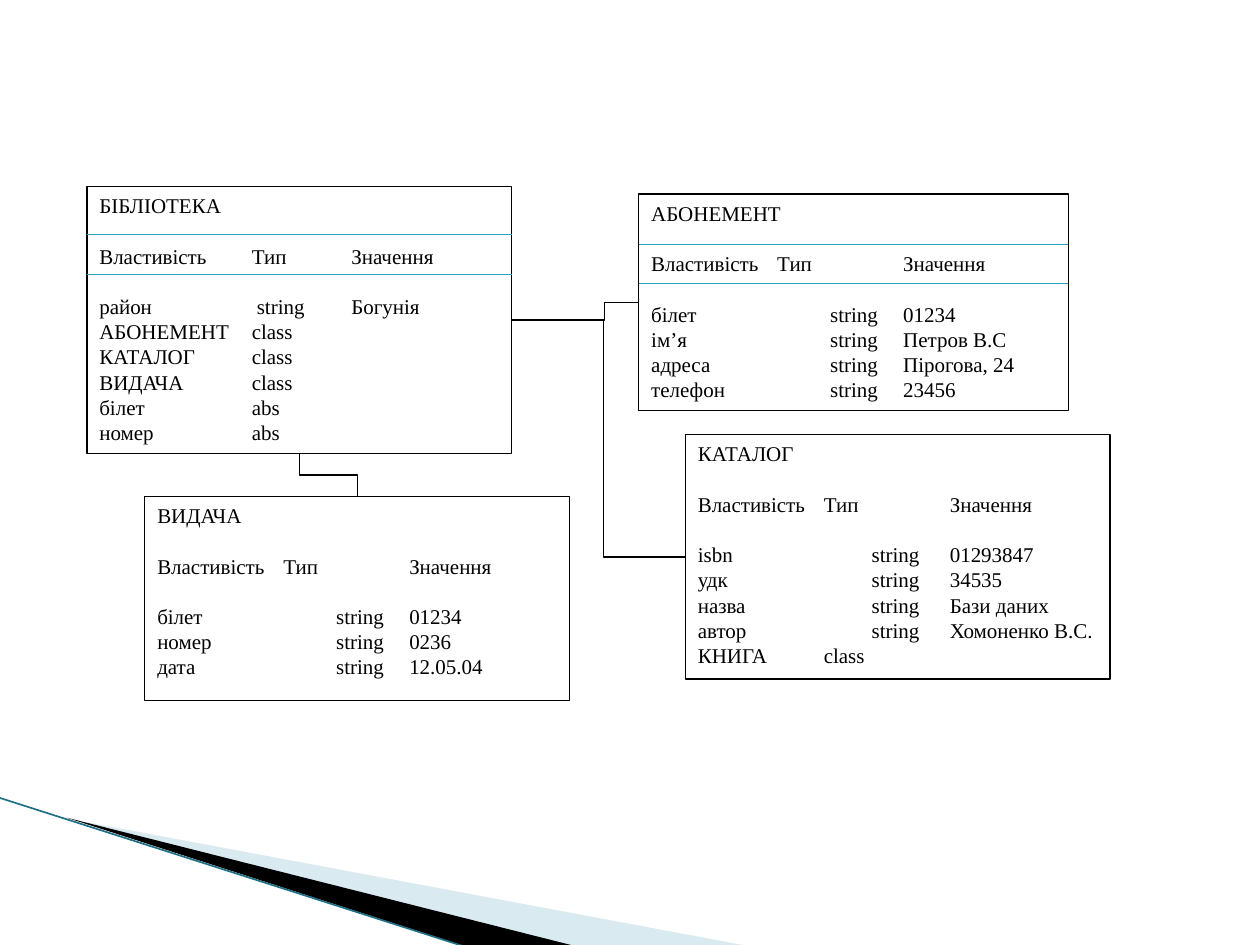
import pptx
import pptx.util
import pptx.dml.color
import pptx.enum.shapes
import pptx.enum.text
import pptx.oxml
import pptx.oxml.ns
from pptx.util import Inches

RGBColor = pptx.dml.color.RGBColor
BLACK = RGBColor(0x00, 0x00, 0x00)
WHITE = RGBColor(0xFF, 0xFF, 0xFF)
TEAL = RGBColor(0x2D, 0xA2, 0xBF)
DARK_TEAL = RGBColor(0x1F, 0x70, 0x85)
PALE_BLUE = RGBColor(0xA0, 0xCB, 0xDC)

CONNECTOR = pptx.enum.shapes.MSO_CONNECTOR
TOP, LEFT, BOTTOM, RIGHT = range(4)
LINE_PITCH = pptx.util.Pt(14.4)
VALUE_TAB = 2.0
HEADINGS = ("Властивість", "Тип", "Значення")

# Each class: position, tab of the type heading, tab of types with a value, rows
CLASSES = {
    "ВИДАЧА": ((1.15, 3.94, 3.37, 1.62), 1.0, 1.42, [
        ("білет", "string", "01234"),
        ("номер", "string", "0236"),
        ("дата", "string", "12.05.04")]),
    "БІБЛІОТЕКА": ((0.69, 1.48, 3.37, 2.12), 1.21, 1.25, [
        ("район", "string", "Богунія"),
        ("АБОНЕМЕНТ", "class"),
        ("КАТАЛОГ", "class"),
        ("ВИДАЧА", "class"),
        ("білет", "abs"),
        ("номер", "abs")]),
    "АБОНЕМЕНТ": ((5.07, 1.54, 3.41, 1.72), 1.0, 1.42, [
        ("білет", "string", "01234"),
        ("ім’я", "string", "Петров В.С"),
        ("адреса", "string", "Пірогова, 24"),
        ("телефон", "string", "23456")]),
    "КАТАЛОГ": ((5.44, 3.45, 3.37, 1.94), 1.0, 1.38, [
        ("isbn", "string", "01293847"),
        ("удк", "string", "34535"),
        ("назва", "string", "Бази даних"),
        ("автор", "string", "Хомоненко В.С."),
        ("КНИГА", "class")]),
}


def sub_element(parent, tag, **attributes):
    child = pptx.oxml.parse_xml(f"<{tag} {pptx.oxml.ns.nsdecls('a')}/>")
    for name, value in attributes.items():
        child.set(name, str(value))
    parent.append(child)
    return child


def add_wedge(page, points, color, opacity=None):
    corners = [(Inches(x), Inches(y)) for x, y in points]
    builder = page.shapes.build_freeform(*corners[0])
    builder.add_line_segments(corners[1:], close=True)
    wedge = builder.convert_to_shape()
    wedge.shadow.inherit = False
    wedge.fill.solid()
    wedge.fill.fore_color.rgb = color
    wedge.line.fill.background()
    if opacity is not None:
        color_node = wedge._element.spPr.find(".//" + pptx.oxml.ns.qn("a:srgbClr"))
        sub_element(color_node, "a:alpha", val=opacity * 1000)


def add_line(page, start, end, color, width=0.75, kind=CONNECTOR.STRAIGHT):
    line = page.shapes.add_connector(kind, *map(Inches, start + end))
    line.line.color.rgb = color
    line.line.width = pptx.util.Pt(width)
    sub_element(line._element.spPr, "a:effectLst")
    return line


def add_row(frame, cells, tabs, gap_before=False):
    """Write one line of a class box, with its columns at tab stops."""
    para = frame.paragraphs[0] if not frame.text else frame.add_paragraph()
    span = para.add_run()
    span.text = "\t".join(cells)
    para.font.name = "Times New Roman"
    para.font.size = pptx.util.Pt(12)
    para.font.color.rgb = BLACK
    para.alignment = pptx.enum.text.PP_ALIGN.LEFT
    para.line_spacing = LINE_PITCH
    para.space_before = LINE_PITCH if gap_before else 0
    properties = para._p.get_or_add_pPr()
    tab_list = pptx.oxml.parse_xml(f"<a:tabLst {pptx.oxml.ns.nsdecls('a')}/>")
    for tab in tabs:
        sub_element(tab_list, "a:tab", pos=Inches(tab), algn="l")
    properties.find(pptx.oxml.ns.qn("a:defRPr")).addprevious(tab_list)


def add_class_box(page, title, place, type_tab, string_tab, rows):
    box = page.shapes.add_shape(
        pptx.enum.shapes.MSO_SHAPE.RECTANGLE, *map(Inches, place))
    box.shadow.inherit = False
    box.fill.solid()
    box.fill.fore_color.rgb = WHITE
    box.line.color.rgb = BLACK
    box.line.width = pptx.util.Pt(0.75)
    frame = box.text_frame
    frame.word_wrap = True
    frame.vertical_anchor = pptx.enum.text.MSO_ANCHOR.TOP
    add_row(frame, [title], [])
    add_row(frame, HEADINGS, (type_tab, VALUE_TAB), gap_before=True)
    for index, cells in enumerate(rows):
        tab = string_tab if len(cells) == 3 else type_tab
        add_row(frame, cells, (tab, VALUE_TAB), gap_before=index == 0)
    return box


def add_elbow(page, source, source_side, target, target_side, bend=0.5):
    elbow = add_line(page, (0, 0), (1, 1), BLACK, kind=CONNECTOR.ELBOW)
    elbow.begin_connect(source, source_side)
    elbow.end_connect(target, target_side)
    guides = elbow._element.spPr.prstGeom.get_or_add_avLst()
    sub_element(guides, "a:gd", name="adj1", fmla=f"val {round(bend * 100000)}")
    return elbow


def turn_upright(elbow):
    """Turn an elbow by 270 degrees so that it leaves its box upwards."""
    middle_x = (elbow.begin_x + elbow.end_x) // 2
    middle_y = (elbow.begin_y + elbow.end_y) // 2
    half_width, half_height = elbow.width // 2, elbow.height // 2
    elbow.begin_x, elbow.end_x = middle_x - half_height, middle_x + half_height
    elbow.begin_y, elbow.end_y = middle_y + half_width, middle_y - half_width
    elbow._element.spPr.xfrm.set("rot", str(270 * 60000))


def main():
    deck = pptx.Presentation()
    deck.slide_width, deck.slide_height = Inches(10), Inches(7.5)
    page = deck.slides.add_slide(deck.slide_layouts[6])

    # Corner decoration
    add_wedge(page, [(0.55, 6.5), (5.95, 7.51), (4.56, 7.51)], PALE_BLUE, 40)
    add_wedge(page, [(0.53, 6.49), (4.57, 7.51), (3.72, 7.52)], BLACK)
    add_line(page, (-0.01, 6.33), (3.71, 7.52), DARK_TEAL, 0.95)

    # Class boxes
    boxes = {title: add_class_box(page, title, *details)
             for title, details in CLASSES.items()}

    # Links to the library
    library = boxes["БІБЛІОТЕКА"]
    turn_upright(add_elbow(page, boxes["ВИДАЧА"], TOP, library, BOTTOM))
    add_elbow(page, boxes["АБОНЕМЕНТ"], LEFT, library, RIGHT, 0.27)
    add_elbow(page, boxes["КАТАЛОГ"], LEFT, library, RIGHT, 0.47)

    # Rules around the column headings
    for title, heights in (("БІБЛІОТЕКА", (1.86, 2.18)),
                           ("АБОНЕМЕНТ", (1.94, 2.25))):
        left, _, width, _ = CLASSES[title][0]
        for height in heights:
            add_line(page, (left, height), (left + width, height), TEAL)

    deck.save("out.pptx")


if __name__ == "__main__":
    main()
